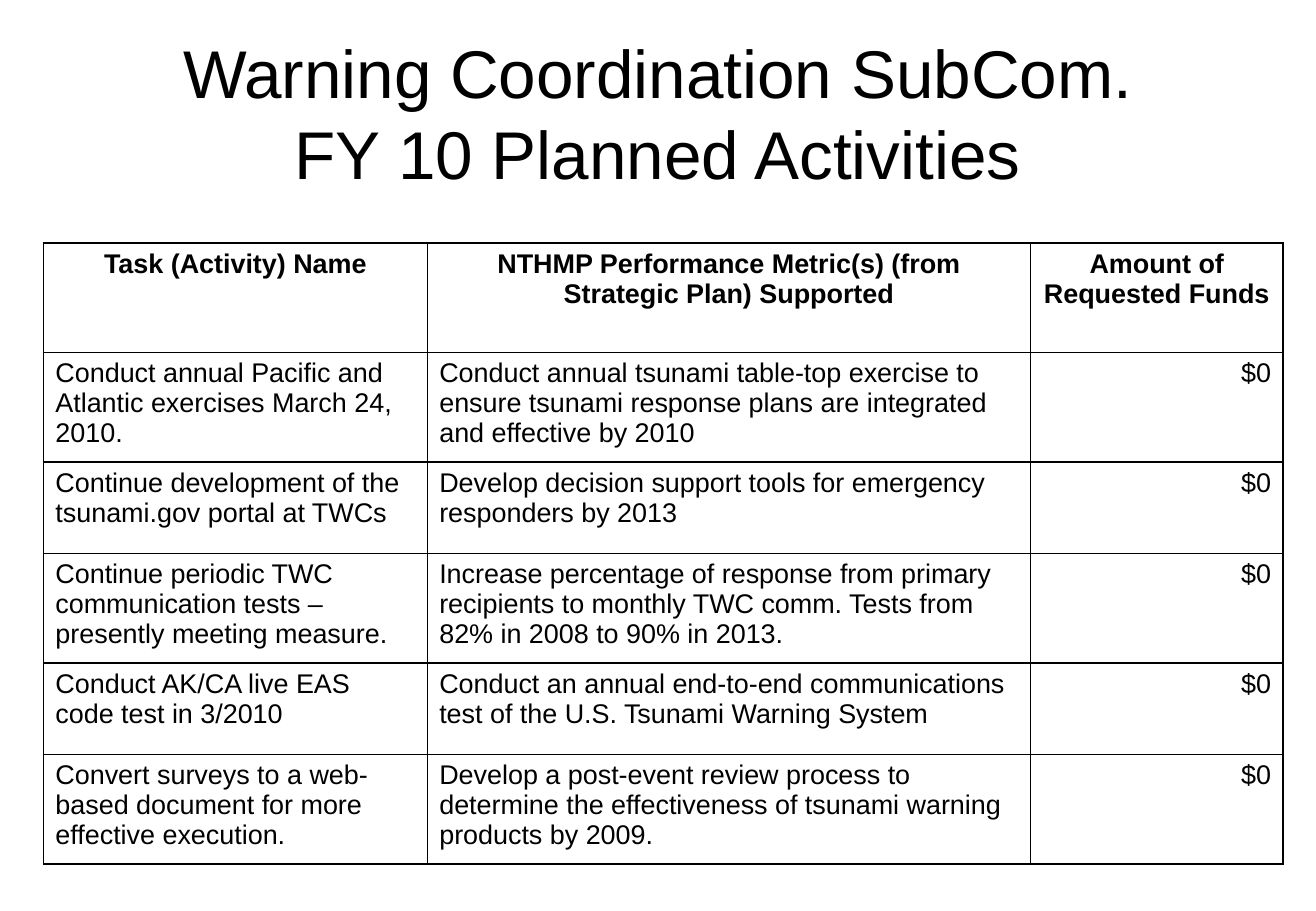
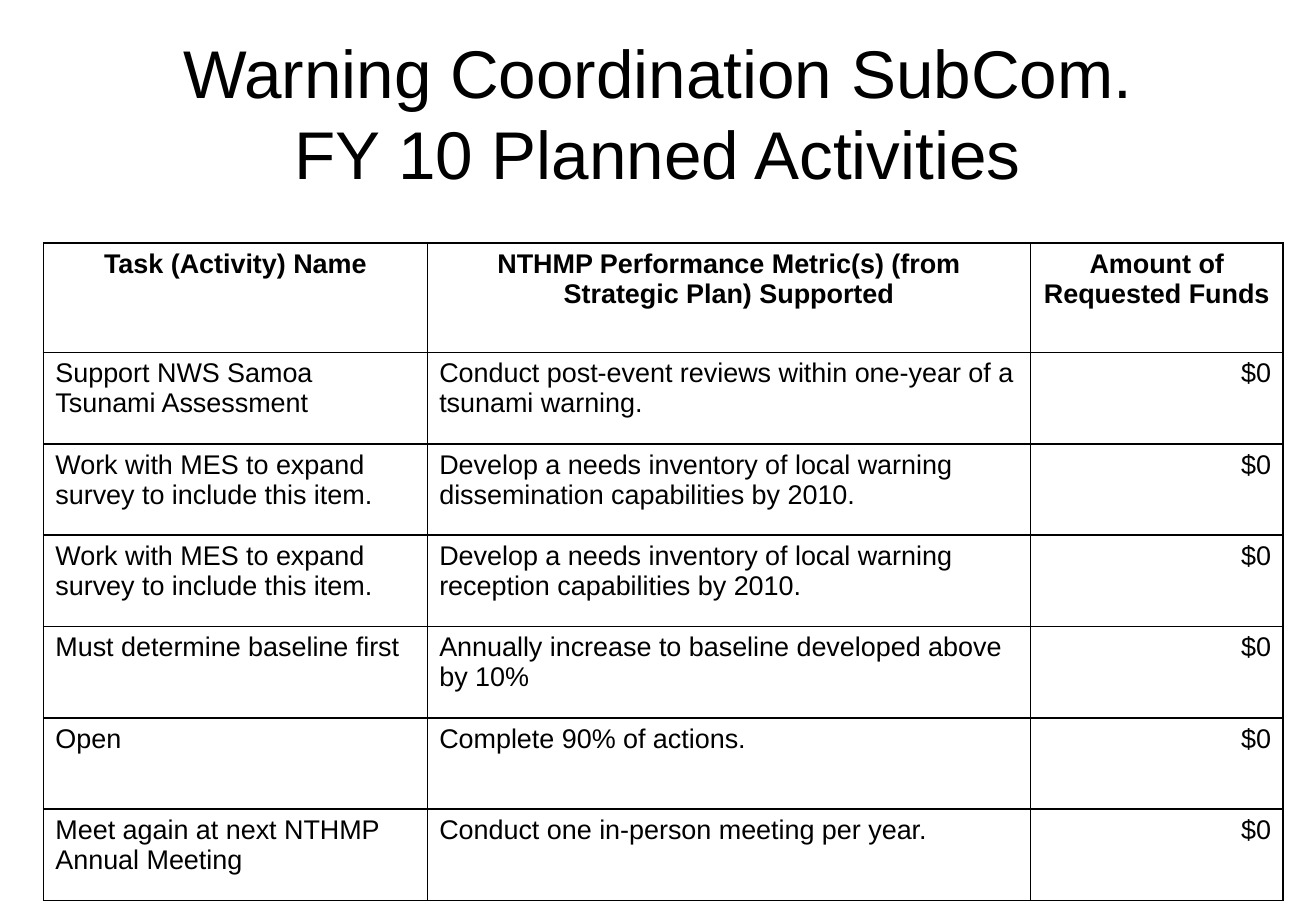
from dataclasses import dataclass

from lxml import etree
from pptx import Presentation
from pptx.dml.color import RGBColor
from pptx.enum.text import MSO_ANCHOR, PP_ALIGN
from pptx.oxml.ns import qn
from pptx.util import Cm, Pt

LEFT, MID, RIGHT = PP_ALIGN.LEFT, PP_ALIGN.CENTER, PP_ALIGN.RIGHT
MIDDLE, TOP = MSO_ANCHOR.MIDDLE, MSO_ANCHOR.TOP


@dataclass(frozen=True)
class Theme:
    font: str = "Arial"
    ink: str = "000000"
    title: float = 40
    body: float = 16
    thick: float = 1.08
    thin: float = 0.45


THEME = Theme()
TITLE = "Warning Coordination SubCom.\vFY 10 Planned Activities"
HEAD = (
    "Task (Activity) Name",
    "NTHMP Performance Metric(s) (from Strategic Plan) Supported",
    "Amount of Requested Funds",
)
COLS = (8.03, 12.62, 5.28)
TALL, SHORT = 2.29, 1.91
FUNDS = "$0"

FIRST = (
    (TALL, "Conduct annual Pacific and Atlantic exercises March 24, 2010.",
     "Conduct annual tsunami table-top exercise to ensure tsunami response "
     "plans are integrated and effective by 2010"),
    (SHORT, "Continue development of the tsunami.gov portal at TWCs",
     "Develop decision support tools for emergency responders by 2013"),
    (TALL, "Continue periodic TWC communication tests – presently meeting measure.",
     "Increase percentage of response from primary recipients to monthly "
     "TWC comm. Tests from 82% in 2008 to 90% in 2013."),
    (SHORT, "Conduct AK/CA live EAS code test in 3/2010",
     "Conduct an annual end-to-end communications test of the U.S. "
     "Tsunami Warning System"),
    (TALL, "Convert surveys to a web-based document for more effective execution.",
     "Develop a post-event review process to determine the effectiveness "
     "of tsunami warning products by 2009."),
)
EXPAND = "Work with MES to expand survey to include this item."
SECOND = tuple((SHORT, task, goal) for task, goal in (
    ("Support NWS Samoa Tsunami Assessment",
     "Conduct post-event reviews within one-year of a tsunami warning."),
    (EXPAND, "Develop a needs inventory of local warning dissemination "
     "capabilities by 2010."),
    (EXPAND, "Develop a needs inventory of local warning reception "
     "capabilities by 2010."),
    ("Must determine baseline first",
     "Annually increase to baseline developed above by 10%"),
    ("Open", "Complete 90% of actions."),
    ("Meet again at next NTHMP Annual Meeting",
     "Conduct one in-person meeting per year."),
))


def write(frame, text, size, align, bold=False):
    para = frame.paragraphs[0]
    para.text = text
    para.alignment = align
    para.font.name = THEME.font
    para.font.size = Pt(size)
    para.font.bold = bold
    para.font.color.rgb = RGBColor.from_string(THEME.ink)


def add_title(slide):
    box = slide.shapes.add_textbox(Cm(1.37), Cm(0.76), Cm(24.77), Cm(3.18))
    frame = box.text_frame
    frame.word_wrap = True
    frame.vertical_anchor = MIDDLE
    write(frame, TITLE, THEME.title, MID)


def add_edge(cell, side, width):
    props = cell._tc.get_or_add_tcPr()
    line = etree.SubElement(props, qn(f"a:ln{side}"), w=str(int(Pt(width))))
    fill = etree.SubElement(line, qn("a:solidFill"))
    etree.SubElement(fill, qn("a:srgbClr"), val=THEME.ink)


def style_cell(cell, col):
    cell.margin_left = cell.margin_right = Cm(0.25)
    cell.margin_top = cell.margin_bottom = Cm(0.13)
    cell.vertical_anchor = TOP
    add_edge(cell, "L", THEME.thick if col == 0 else THEME.thin)
    add_edge(cell, "R", THEME.thick if col == len(COLS) - 1 else THEME.thin)
    add_edge(cell, "T", THEME.thick)
    add_edge(cell, "B", THEME.thick)
    cell.fill.background()


def add_grid(slide, tasks):
    rows = [(TALL, *HEAD)] + [(*task, FUNDS) for task in tasks]
    high = sum(row[0] for row in rows)
    table = slide.shapes.add_table(
        len(rows), len(COLS), Cm(0.91), Cm(5.08), Cm(sum(COLS)), Cm(high)
    ).table
    table.first_row = table.horz_banding = False
    for col, width in enumerate(COLS):
        table.columns[col].width = Cm(width)
    for row, (height, *texts) in enumerate(rows):
        table.rows[row].height = Cm(height)
        for col, text in enumerate(texts):
            cell = table.cell(row, col)
            style_cell(cell, col)
            align = MID if row == 0 else (LEFT, LEFT, RIGHT)[col]
            write(cell.text_frame, text, THEME.body, align, row == 0)


def main():
    deck = Presentation()
    deck.slide_width, deck.slide_height = Cm(27.53), Cm(19.05)
    for tasks in (FIRST, SECOND):
        slide = deck.slides.add_slide(deck.slide_layouts[6])
        add_title(slide)
        add_grid(slide, tasks)
    deck.save("out.pptx")


if __name__ == "__main__":
    main()
